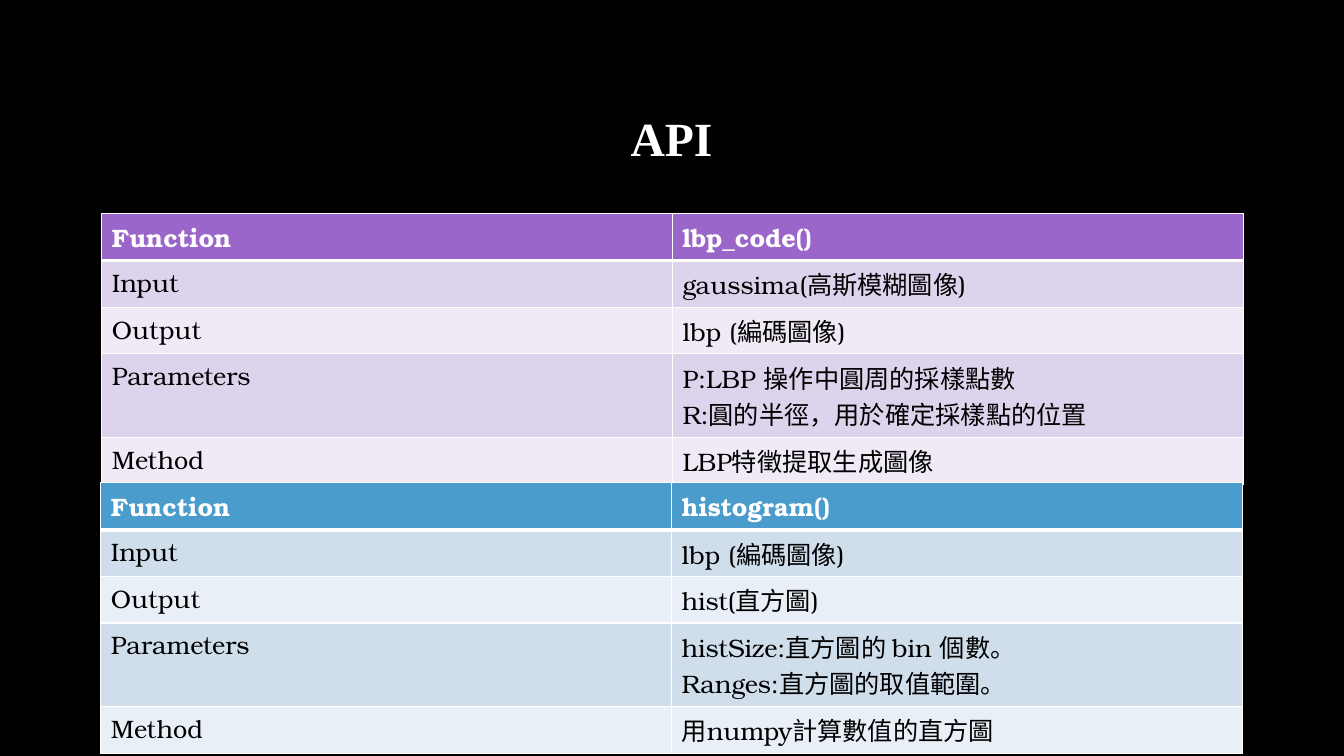
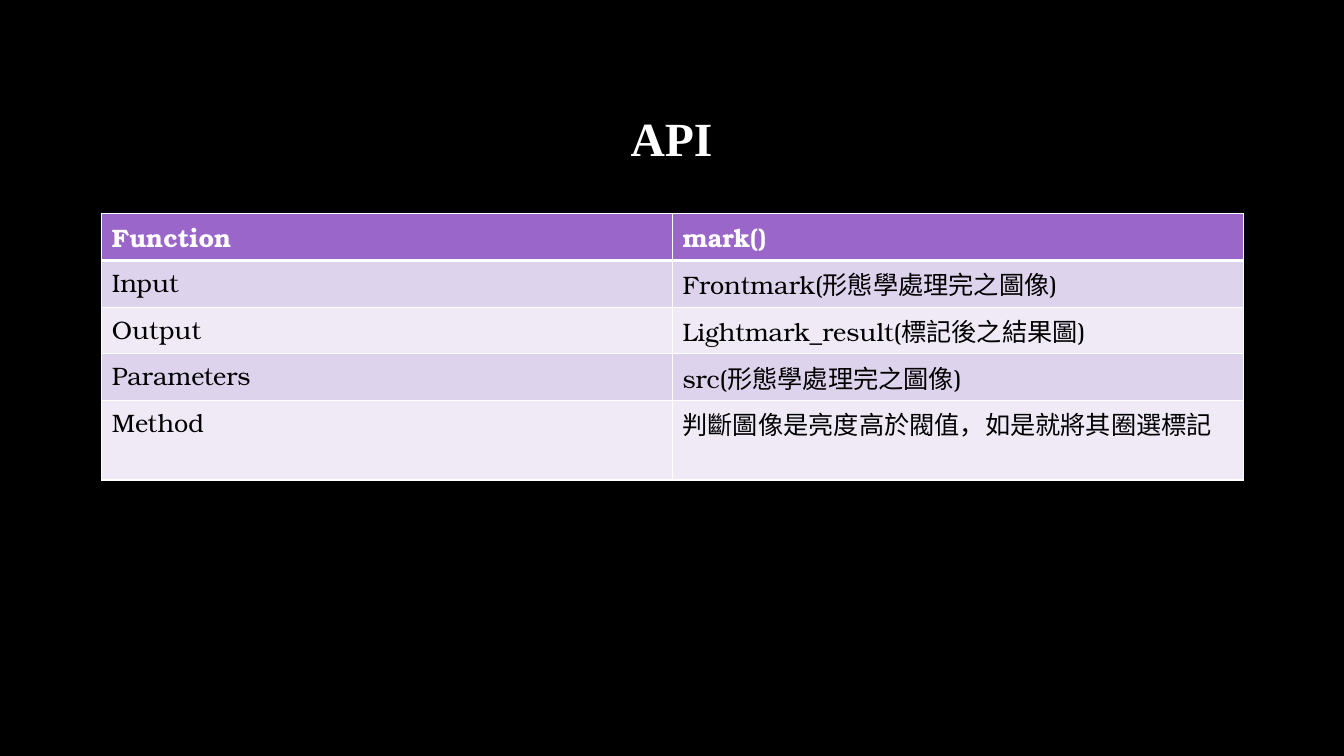
from lxml.etree import SubElement as Sub
from pptx import Presentation
from pptx.dml.color import RGBColor as RGB
from pptx.enum.text import MSO_ANCHOR as Anchor, MSO_AUTO_SIZE as Fit, PP_ALIGN as Align
from pptx.oxml.ns import qn
from pptx.util import Inches, Pt

BLACK = RGB(0x00, 0x00, 0x00)
WHITE = RGB(0xFF, 0xFF, 0xFF)
PURPLE = (RGB(0x9A, 0x66, 0xCA), RGB(0xDE, 0xD3, 0xEC), RGB(0xEF, 0xEA, 0xF6))
BLUE = (RGB(0x4A, 0x9C, 0xCC), RGB(0xD0, 0xDE, 0xEC), RGB(0xE9, 0xEF, 0xF6))
SERIF = "Times New Roman"
BODY = "TeX Gyre Bonum"
LABELS = ("Function", "Input", "Output", "Parameters", "Method")
WIDTH = 11.32
ROW = 0.46
TALL = 0.83
TOP = 2.12


def write(frame, text, font=BODY, size=18, color=BLACK, bold=False,
          align=Align.LEFT, space=None):
    frame.text = text
    for para in frame.paragraphs:
        para.alignment = align
        para.line_spacing = space
        for run in para.runs:
            run.font.name = font
            run.font.size = Pt(size)
            run.font.bold = bold
            run.font.color.rgb = color


def add_edges(cell, top=1, bottom=1):
    props = cell._tc.get_or_add_tcPr()
    for side, width in (("L", 1), ("R", 1), ("T", top), ("B", bottom)):
        line = Sub(props, qn(f"a:ln{side}"), w=str(Pt(width)))
        fill = Sub(line, qn("a:solidFill"))
        Sub(fill, qn("a:srgbClr"), val=str(WHITE))


def add_grid(slide, left, top, values, theme, heights):
    frame = slide.shapes.add_table(len(LABELS), 2, Inches(left), Inches(top),
                                   Inches(WIDTH), Inches(sum(heights)))
    table = frame.table
    table.first_row = table.horz_banding = False
    head, odd, even = theme
    for row, texts in enumerate(zip(LABELS, values)):
        table.rows[row].height = Inches(heights[row])
        first = row == 0
        shade = head if first else odd if row % 2 else even
        for col, text in enumerate(texts):
            cell = table.cell(row, col)
            add_edges(cell, top=3 if row == 1 else 1, bottom=3 if first else 1)
            cell.fill.solid()
            cell.fill.fore_color.rgb = shade
            write(cell.text_frame, text, color=WHITE if first else BLACK, bold=first)


def add_slide(deck, text):
    slide = deck.slides.add_slide(deck.slide_layouts[5])
    title = slide.shapes.title
    title.left, title.top = Inches(1), Inches(0.67)
    title.width, title.height = Inches(WIDTH), Inches(1.45)
    frame = title.text_frame
    frame.vertical_anchor = Anchor.MIDDLE
    frame.auto_size = Fit.NONE
    write(frame, text, font=SERIF, size=34, color=WHITE, bold=True,
          align=Align.CENTER, space=0.9)
    return slide


def main():
    deck = Presentation()
    deck.slide_width, deck.slide_height = Inches(13.33), Inches(7.5)
    back = deck.slide_master.background.fill
    back.solid()
    back.fore_color.rgb = BLACK

    slide = add_slide(deck, "API")
    heights = (ROW, ROW, ROW, TALL, ROW)
    add_grid(slide, 1.01, TOP, (
        "lbp_code()",
        "gaussima(高斯模糊圖像)",
        "lbp (編碼圖像)",
        "P:LBP 操作中圓周的採樣點數\nR:圓的半徑，用於確定採樣點的位置",
        "LBP特徵提取生成圖像",
    ), PURPLE, heights)
    add_grid(slide, 1, TOP + sum(heights), (
        "histogram()",
        "lbp (編碼圖像)",
        "hist(直方圖)",
        "histSize:直方圖的 bin 個數。\nRanges:直方圖的取值範圍。",
        "用numpy計算數值的直方圖",
    ), BLUE, heights)

    slide = add_slide(deck, "API")
    add_grid(slide, 1.01, TOP, (
        "mark()",
        "Frontmark(形態學處理完之圖像)",
        "Lightmark_result(標記後之結果圖)",
        "src(形態學處理完之圖像)",
        "判斷圖像是亮度高於閥值，如是就將其圈選標記",
    ), PURPLE, (ROW, ROW, ROW, ROW, 0.79))

    deck.save("out.pptx")


if __name__ == "__main__":
    main()
